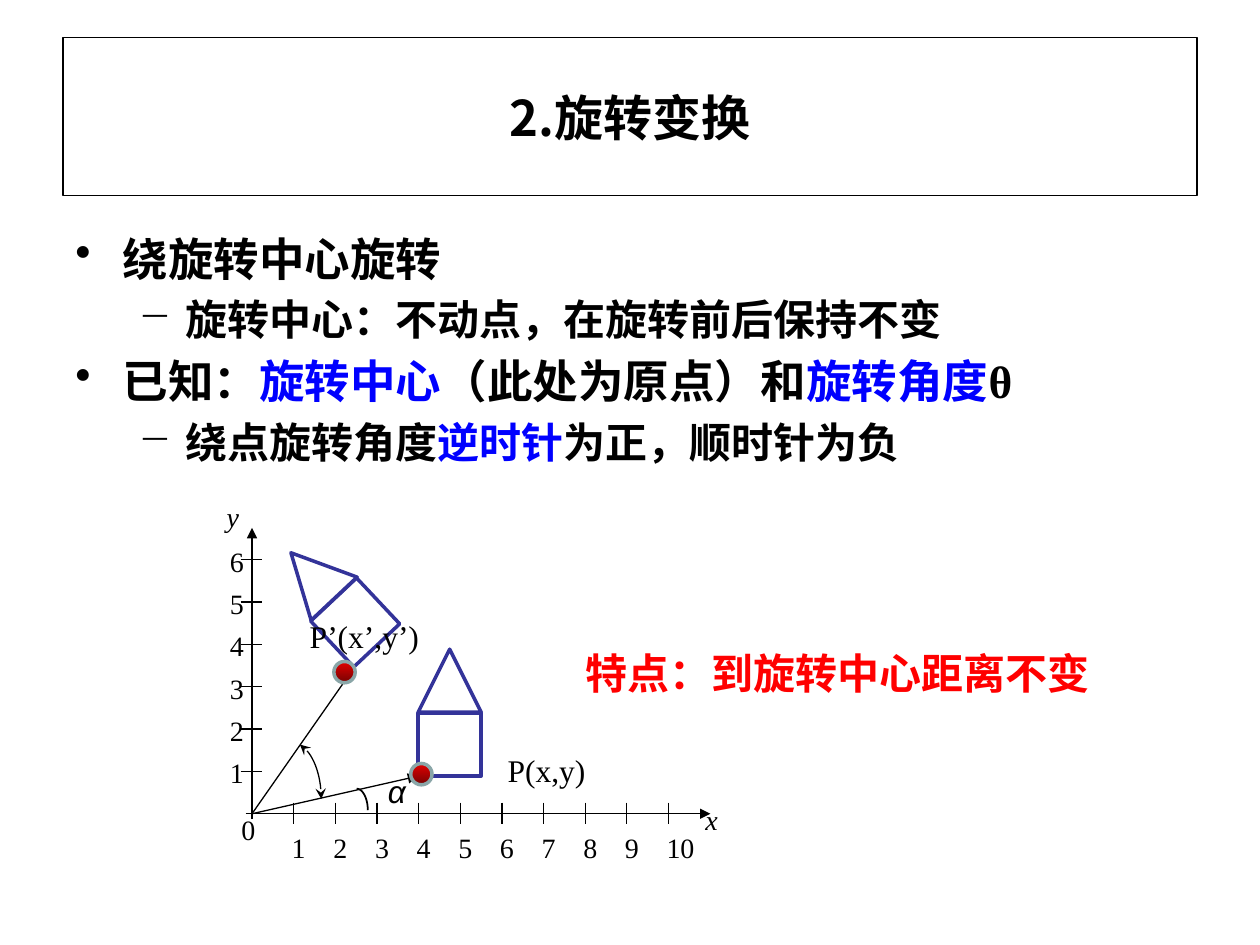
from lxml import etree
from pptx import Presentation
from pptx.dml.color import RGBColor
from pptx.enum.shapes import MSO_CONNECTOR, MSO_SHAPE
from pptx.enum.text import MSO_ANCHOR, PP_ALIGN
from pptx.oxml.ns import qn
from pptx.util import Pt

LINE = MSO_CONNECTOR.STRAIGHT
RECT, TRI, OVAL = MSO_SHAPE.RECTANGLE, MSO_SHAPE.ISOSCELES_TRIANGLE, MSO_SHAPE.OVAL
MID = MSO_ANCHOR.MIDDLE
CENTER, JUST = PP_ALIGN.CENTER, PP_ALIGN.JUSTIFY
SANS, SERIF = "Noto Sans CJK SC", "Times New Roman"
HEX = {"black": "000000", "white": "FFFFFF", "blue": "0000FF", "red": "FF0000",
       "navy": "333399", "ring": "8AA6A8", "light": "E30000", "dark": "760303"}
RGB = {name: RGBColor.from_string(code) for name, code in HEX.items()}

prs = Presentation()
prs.slide_width, prs.slide_height = Pt(720), Pt(540)
slide = prs.slides.add_slide(prs.slide_layouts[5])
shapes = slide.shapes


def style(run, size, face=SANS, color="black", bold=False, italic=False):
    """Format a run, with one face for Latin and East Asian text."""
    font = run.font
    font.size, font.name, font.bold, font.italic = Pt(size), face, bold, italic
    font.color.rgb = RGB[color]
    etree.SubElement(run._r.get_or_add_rPr(), qn("a:ea")).set("typeface", face)


def label(text, left, top, width, height, size, **look):
    """Add a one-line text box and return it."""
    box = shapes.add_textbox(Pt(left), Pt(top), Pt(width), Pt(height))
    box.text_frame.word_wrap = True
    box.text_frame.text = text
    style(box.text_frame.paragraphs[0].runs[0], size, **look)
    return box


# Title
title = shapes.title
title.left, title.top, title.width, title.height = Pt(36), Pt(21.6), Pt(648), Pt(90)
title.line.color.rgb = RGB["black"]
title.line.width = Pt(0.75)
title.text_frame.text = "2.旋转变换"
title.text_frame.vertical_anchor = MID
title.text_frame.paragraphs[0].alignment = CENTER
style(title.text_frame.paragraphs[0].runs[0], 28, bold=True)

# Bullets
points = [
    (0, [("绕旋转中心旋转", "black", SANS)]),
    (1, [("旋转中心：不动点，在旋转前后保持不变", "black", SANS)]),
    (0, [("已知：", "black", SANS), ("旋转中心", "blue", SANS),
         ("（此处为原点）和", "black", SANS), ("旋转角度", "blue", SANS),
         ("θ", "black", SERIF)]),
    (1, [("绕点旋转角度", "black", SANS), ("逆时针", "blue", SANS),
         ("为正，顺时针为负", "black", SANS)]),
]
frame = shapes.add_textbox(Pt(36), Pt(126), Pt(648), Pt(356.4)).text_frame
frame.word_wrap = True
for i, (level, parts) in enumerate(points):
    para = frame.paragraphs[0] if i == 0 else frame.add_paragraph()
    para.level, para.alignment, para.line_spacing = level, JUST, Pt(33.5)
    para.space_before = Pt(3 if i and level == 0 else 0)
    props = para._p.get_or_add_pPr()
    props.set("marL", str(Pt(27 + 36 * level)))
    props.set("indent", str(Pt(-27)))
    etree.SubElement(props, qn("a:buChar")).set("char", "•─"[level])
    for text, color, face in parts:
        run = para.add_run()
        run.text = text
        style(run, 26 - 2 * level, face=face, color=color, bold=True)

label("特点：到旋转中心距离不变", 327.6, 366.5, 360, 36, 24, color="red", bold=True)

# Axis names
for name, left, top in [("y", 122.4, 282.2), ("x", 396, 455)]:
    box = label(name, left, top, 24, 26.6, 16, face=SERIF, italic=True)
    box.fill.solid()
    box.fill.fore_color.rgb = RGB["white"]

# Houses
for kind, left, top, turn in [(RECT, 239, 407.5, 0), (TRI, 239, 371, 0),
                              (RECT, 185, 337.7, 316.8), (TRI, 160.6, 311, 316.8)]:
    part = shapes.add_shape(kind, Pt(left), Pt(top), Pt(36), Pt(36))
    part.shadow.inherit = False
    part.rotation = turn
    part.fill.solid()
    part.fill.fore_color.rgb = RGB["white"]
    part.line.color.rgb = RGB["navy"]
    part.line.width = Pt(2)

# Axes, rays and ticks
zx, zy, dx, dy = 144, 465, 23.8, 24.2
lines = [(zx, 468, zx, 301.7, True), (140.4, zy, 406, zy, True),
         (zx, zy, 239, 443.5, True), (zx, zy, 202.3, 381.6, True)]
lines += [(zx + dx * n, 458.6, zx + dx * n, 470.9, False) for n in range(1, 11)]
lines += [(137.5, zy - dy * n, 149.8, zy - dy * n, False) for n in range(1, 7)]
for x1, y1, x2, y2, tip in lines:
    line = shapes.add_connector(LINE, Pt(x1), Pt(y1), Pt(x2), Pt(y2))
    line.line.color.rgb = RGB["black"]
    line.line.width = Pt(0.75)
    etree.SubElement(line._element.spPr, qn("a:effectLst"))
    if tip:
        etree.SubElement(line.line._get_or_add_ln(), qn("a:tailEnd")).set("type", "triangle")

# Axis numbers
marks = [(0, 126.7, 460.8)]
marks += [(n, 131.7 + dx * n, 470.9) for n in range(1, 11)]
marks += [(n, 120.2, 452.6 - dy * n) for n in range(1, 7)]
for n, left, top in marks:
    box = label(str(n), left, top, 35 if n == 10 else 27, 26.6, 16, face=SERIF)
    box.text_frame.margin_left = Pt(11.2)

# Angle arcs
arcs = [([(171.4, 425.5), (178.6, 429.8), (183.6, 442), (183.6, 456.5)], 0.75, True),
        ([(203.8, 450.7), (207.4, 450.7), (210.2, 456.5), (210.2, 463)], 1, False)]
for curve, width, tips in arcs:
    dots = []
    for step in range(17):
        t = step / 16
        weights = ((1 - t) ** 3, 3 * t * (1 - t) ** 2, 3 * t * t * (1 - t), t ** 3)
        dots.append([Pt(sum(w * p[k] for w, p in zip(weights, curve))) for k in (0, 1)])
    maker = shapes.build_freeform(*dots[0])
    maker.add_line_segments(dots[1:], close=False)
    arc = maker.convert_to_shape()
    arc.shadow.inherit = False
    arc.fill.background()
    arc.line.color.rgb = RGB["black"]
    arc.line.width = Pt(width)
    if tips:
        for end in ("a:headEnd", "a:tailEnd"):
            etree.SubElement(arc.line._get_or_add_ln(), qn(end)).set("type", "stealth")

label("α", 214.6, 437.8, 27, 29, 18, face="Arial", italic=True)

# Points P and P'
for left, top in [(190.8, 378), (234.7, 436.3)]:
    dot = shapes.add_shape(OVAL, Pt(left), Pt(top), Pt(12.2), Pt(12.2))
    dot.shadow.inherit = False
    dot.fill.gradient()
    dot.fill.gradient_angle = 270
    for stop, color in zip(dot.fill.gradient_stops, ("light", "dark")):
        stop.color.rgb = RGB[color]
    dot.line.color.rgb = RGB["ring"]
    dot.line.width = Pt(2)

label("P(x,y)", 283, 425.5, 69, 29, 18, face=SERIF)
label("P’(x’,y’)", 169.9, 349.2, 82, 29, 18, face=SERIF)

prs.save("out.pptx")
